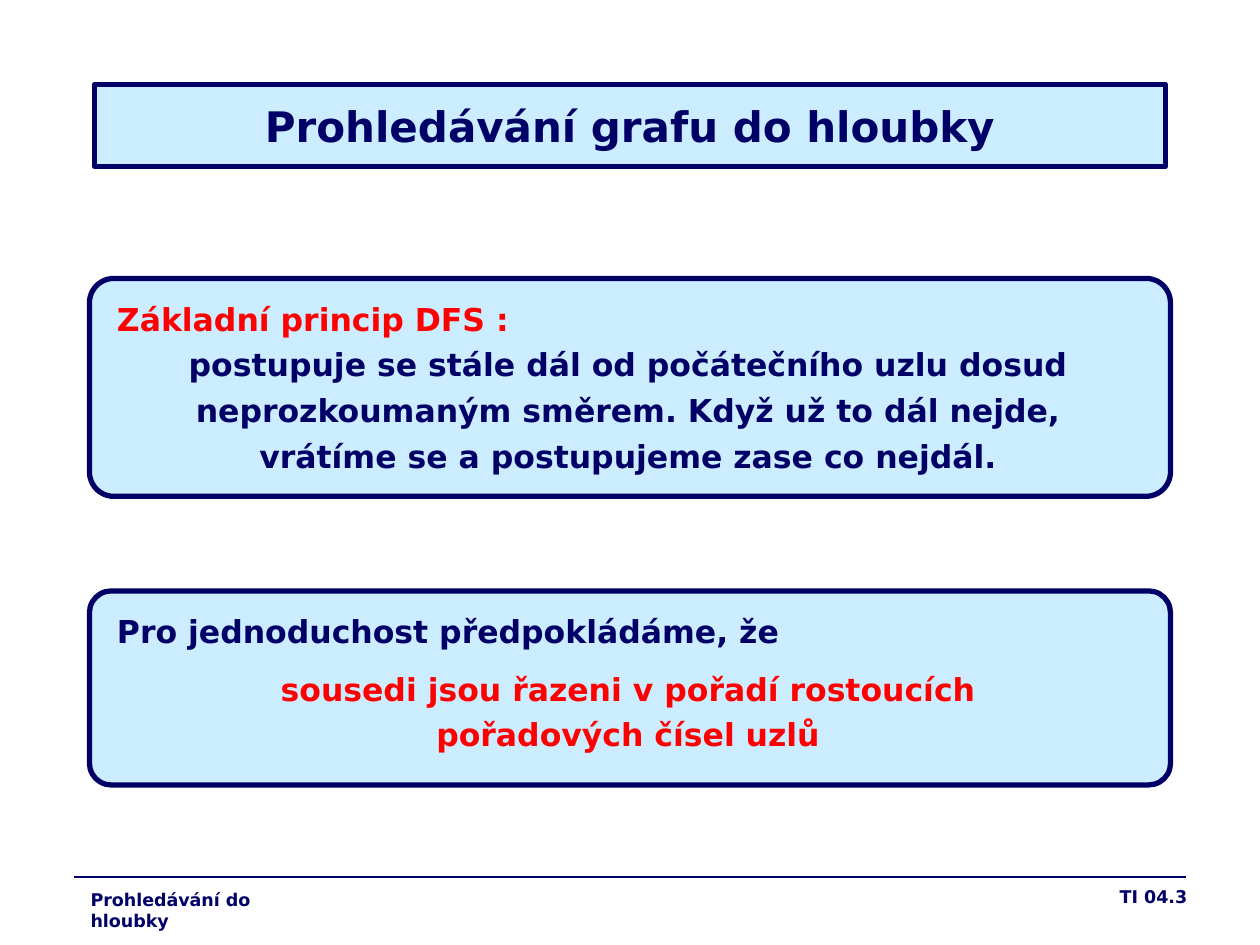
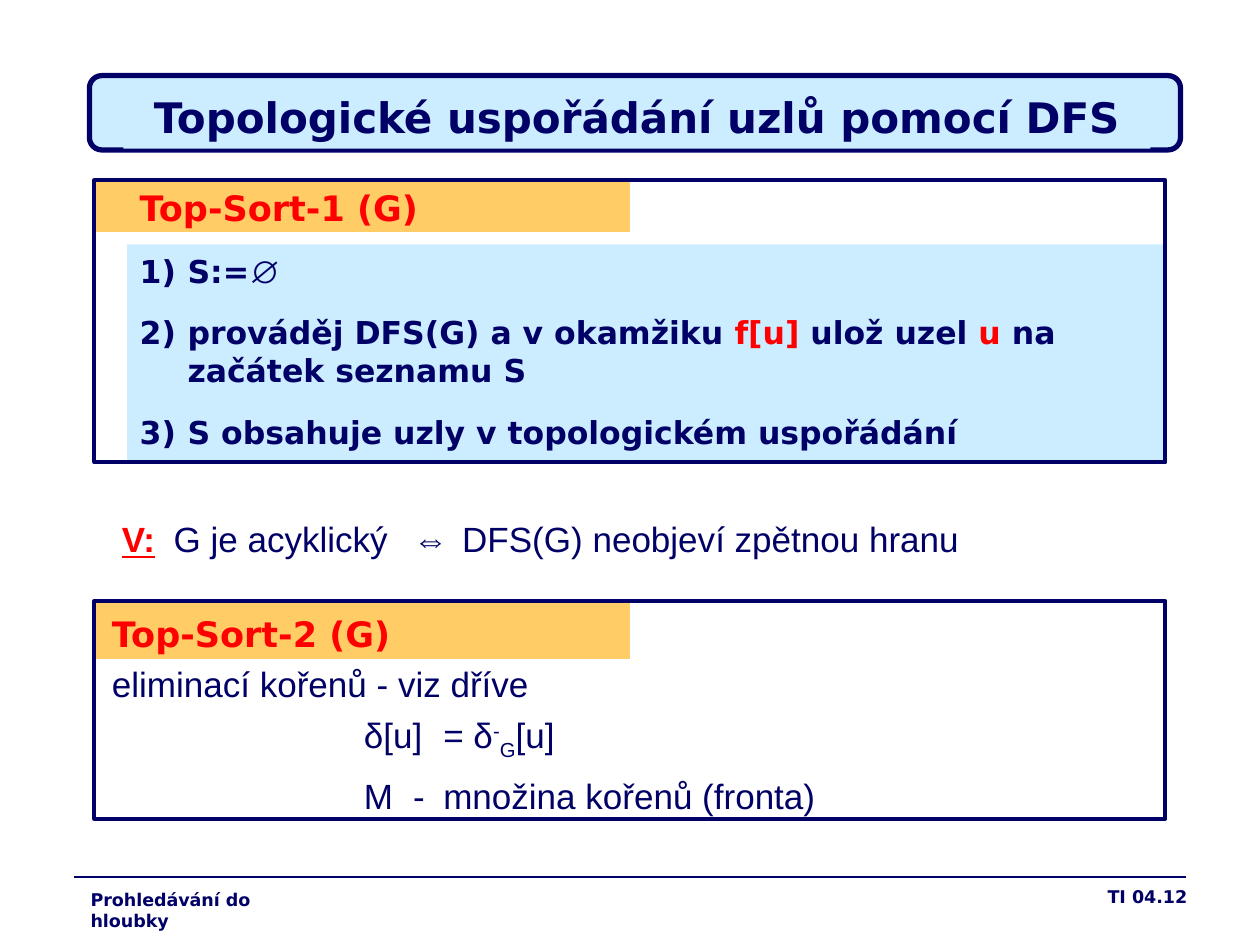
from dataclasses import dataclass

from lxml import etree
from pptx import Presentation
from pptx.dml.color import RGBColor
from pptx.enum.shapes import MSO_CONNECTOR, MSO_SHAPE
from pptx.enum.text import MSO_ANCHOR, PP_ALIGN
from pptx.oxml.ns import qn
from pptx.util import Inches, Pt

RECT = MSO_SHAPE.RECTANGLE
ROUNDED = MSO_SHAPE.ROUNDED_RECTANGLE
STRAIGHT = MSO_CONNECTOR.STRAIGHT
TOP, MIDDLE = MSO_ANCHOR.TOP, MSO_ANCHOR.MIDDLE
LEFT, CENTER, RIGHT = PP_ALIGN.LEFT, PP_ALIGN.CENTER, PP_ALIGN.RIGHT

COLUMNS, ROWS = 100, 75
FRAME_LEFT, FRAME_WIDTH = 7.5, 85


@dataclass(frozen=True)
class Theme:
    navy: RGBColor = RGBColor(0x00, 0x00, 0x66)
    red: RGBColor = RGBColor(0xFF, 0x00, 0x00)
    sky: RGBColor = RGBColor(0xCC, 0xEC, 0xFF)
    amber: RGBColor = RGBColor(0xFF, 0xCC, 0x66)
    strong_face: str = "DejaVu Sans"
    plain_face: str = "Arial"
    title: int = 24
    heading: int = 20
    body: int = 18
    footer: int = 10
    panel_line: float = 3
    frame_line: float = 2.25
    footer_line: float = 0.75


THEME = Theme()


@dataclass
class Run:
    text: str
    color: RGBColor = None
    face: str = None
    bold: bool = None
    underline: bool = None
    baseline: int = 0


@dataclass
class Para:
    content: object
    size: int = THEME.body
    color: RGBColor = THEME.navy
    strong: bool = True
    align: object = LEFT
    before: float = 0
    after: float = 0
    numbered: bool = False
    tabs: tuple = ()


class Deck:
    def __init__(self, theme):
        self.theme = theme
        self.prs = Presentation()
        self.prs.slide_width, self.prs.slide_height = Inches(10), Inches(7.5)
        self.slide = None

    def x(self, columns):
        return round(self.prs.slide_width * columns / COLUMNS)

    def y(self, rows):
        return round(self.prs.slide_height * rows / ROWS)

    def area(self, left, top, width, height):
        return self.x(left), self.y(top), self.x(width), self.y(height)

    def new_slide(self, number):
        self.slide = self.prs.slides.add_slide(self.prs.slide_layouts[6])
        self.rule(5.9, 94.1, 69.6)
        size = self.theme.footer
        self.text(74.4, 69.8, 20.8, 3.6,
                  [Para(f"TI 04.{number}", size, align=RIGHT)])
        self.text(6.2, 70.1, 19.2, 2.7, [Para("Prohledávání do hloubky", size)])

    def rule(self, start, end, row):
        line = self.slide.shapes.add_connector(
            STRAIGHT, self.x(start), self.y(row), self.x(end), self.y(row))
        line.line.color.rgb = self.theme.navy
        line.line.width = Pt(self.theme.footer_line)
        etree.SubElement(line._element.spPr, qn("a:effectLst"))

    def block(self, left, top, width, height, fill=None, line=None,
              kind=RECT, corner=None):
        block = self.slide.shapes.add_shape(
            kind, *self.area(left, top, width, height))
        block.shadow.inherit = False
        if corner is not None:
            block.adjustments[0] = corner
        if fill is None:
            block.fill.background()
        else:
            block.fill.solid()
            block.fill.fore_color.rgb = fill
        if line is None:
            block.line.fill.background()
        else:
            block.line.color.rgb = self.theme.navy
            block.line.width = Pt(line)
        return block

    def title(self, block, wording):
        self.fill_text(block.text_frame,
                       [Para(wording, self.theme.title, align=CENTER)], MIDDLE)

    def panel(self, left, top, width, height, corner):
        self.block(left, top, width, height, self.theme.sky,
                   self.theme.panel_line, ROUNDED, corner)

    def principle(self, top, height, paras):
        left, width, inset = 7.1, 85.8, 1.2
        self.panel(left, top, width, height, 0.112)
        self.text(left + inset, top + inset, width - 2.7, height - 1.6, paras)

    def algorithm_frame(self, top, height, band_height):
        self.block(FRAME_LEFT, top, FRAME_WIDTH / 2, band_height,
                   self.theme.amber)
        self.block(FRAME_LEFT, top, FRAME_WIDTH, height,
                   line=self.theme.frame_line)

    def text(self, left, top, width, height, paras):
        box = self.slide.shapes.add_textbox(
            *self.area(left, top, width, height))
        self.fill_text(box.text_frame, paras, TOP)

    def fill_text(self, frame, paras, anchor):
        frame.word_wrap = True
        frame.vertical_anchor = anchor
        for index, para in enumerate(paras):
            target = frame.add_paragraph() if index else frame.paragraphs[0]
            self.paragraph(target, para)

    def paragraph(self, target, para):
        target.alignment = para.align
        if para.before:
            target.space_before = Pt(para.before)
        if para.after:
            target.space_after = Pt(para.after)
        props = target._p.get_or_add_pPr()
        if para.numbered:
            hang = Inches(0.38)
            props.set("marL", str(hang))
            props.set("indent", str(-hang))
            etree.SubElement(props, qn("a:buAutoNum"), type="arabicParenR")
        if para.tabs:
            stops = etree.SubElement(props, qn("a:tabLst"))
            for stop in para.tabs:
                etree.SubElement(stops, qn("a:tab"),
                                 pos=str(self.x(stop)), algn="l")
        font = target.font
        font.size = Pt(para.size)
        font.bold = para.strong
        font.name = (self.theme.strong_face if para.strong
                     else self.theme.plain_face)
        font.color.rgb = para.color
        runs = para.content
        for run in [Run(runs)] if isinstance(runs, str) else runs:
            self.add_piece(target, run)

    def add_piece(self, target, run):
        piece = target.add_run()
        piece.text = run.text
        if run.color is not None:
            piece.font.color.rgb = run.color
        if run.face is not None:
            piece.font.name = run.face
        if run.bold is not None:
            piece.font.bold = run.bold
        if run.underline is not None:
            piece.font.underline = run.underline
        if run.baseline:
            piece._r.get_or_add_rPr().set("baseline", str(run.baseline * 1000))


def depth_first_search(deck):
    theme = deck.theme
    deck.new_slide(3)
    deck.title(deck.block(FRAME_LEFT, 6.7, FRAME_WIDTH, 6.5, theme.sky,
                          theme.panel_line),
               "Prohledávání grafu do hloubky")
    steps = ("postupuje se stále dál od počátečního uzlu dosud",
             "neprozkoumaným směrem. Když už to dál nejde,",
             "vrátíme se a postupujeme zase co nejdál.")
    deck.principle(22.1, 17.3, [
        Para("Základní princip DFS :", color=theme.red),
        *(Para(step, align=CENTER, before=4.5) for step in steps)])
    deck.principle(46.9, 15.4, [
        Para("Pro jednoduchost předpokládáme, že"),
        Para("sousedi jsou řazeni v pořadí rostoucích", color=theme.red,
             align=CENTER, before=11.2),
        Para("pořadových čísel uzlů", color=theme.red,
             align=CENTER, before=4.5)])


def topological_sort(deck):
    theme = deck.theme
    deck.new_slide(12)
    deck.panel(7.1, 6, 86.6, 5.9, 0.167)
    deck.title(deck.block(9.8, 6.8, 81.5, 5, theme.sky),
               "Topologické uspořádání uzlů pomocí DFS")

    deck.block(10.1, 19.4, 82.4, 17.3, theme.sky)
    deck.algorithm_frame(14.3, 22.4, 4.1)
    steps = (
        [Run("S:="), Run("∅", face=theme.plain_face)],
        [Run("prováděj DFS(G) a v okamžiku "), Run("f[u] ", theme.red),
         Run("ulož uzel "), Run("u ", theme.red),
         Run("na začátek seznamu S")],
        "S obsahuje uzly v topologickém uspořádání")
    deck.text(10.1, 14.3, 81.1, 27.8, [
        Para("Top-Sort-1 (G)", theme.heading, theme.red),
        *(Para(step, before=13.5, numbered=True) for step in steps)])

    deck.text(8.7, 40.6, 82.4, 4.4, [
        Para([Run("V:", theme.red, bold=True, underline=True),
              Run("\tG je acyklický\t⇔\tDFS(G) neobjeví zpětnou hranu")],
             theme.heading, strong=False, tabs=(4.1, 23.1, 27))])

    deck.algorithm_frame(47.7, 17.3, 4.6)
    definition_tabs = (20, 23.9, 26.3)
    deck.text(7.9, 48.1, 84.3, 17.2, [
        Para("Top-Sort-2 (G)", theme.heading, theme.red),
        Para("eliminací kořenů - viz dříve", theme.heading, strong=False,
             before=5),
        Para([Run("\tδ[u]\t= δ"), Run("-", baseline=30),
              Run("G", baseline=-25), Run("[u]")],
             theme.heading, strong=False, before=5, after=2.5,
             tabs=definition_tabs),
        Para("\tM\t-\tmnožina kořenů (fronta)", theme.heading, strong=False,
             before=5, tabs=definition_tabs)])


def main():
    deck = Deck(THEME)
    depth_first_search(deck)
    topological_sort(deck)
    deck.prs.save("out.pptx")


if __name__ == "__main__":
    main()
